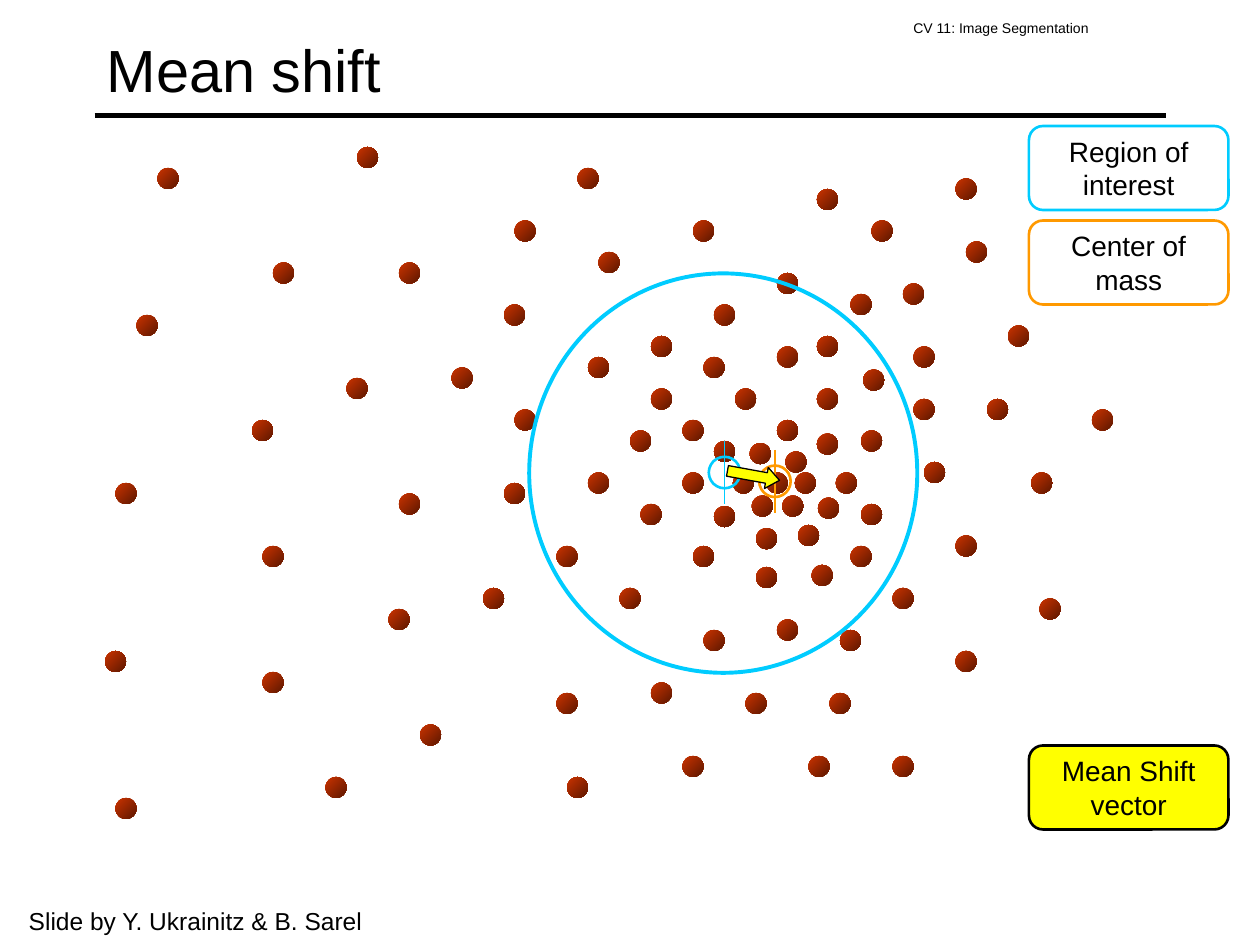
from lxml import etree
from pptx import Presentation
from pptx.dml.color import RGBColor
from pptx.enum.shapes import MSO_CONNECTOR, MSO_SHAPE
from pptx.enum.text import MSO_ANCHOR, PP_ALIGN
from pptx.oxml.ns import qn
from pptx.util import Inches, Pt

COLORS = {
    "text": "000000",
    "region": "00CCFF",
    "mass": "FF9900",
    "vector": "FFFF00",
    "dot_light": "CC3300",
    "dot_dark": "5E1800",
}
FONT = "Arial"
GRID = 1 / 12
DOT_CELLS = 2
TARGET_RADIUS = 0.125
CROSSHAIR_REACH = 0.25
REGION_CENTER = (5.75, 3.75)
MASS_CENTER = (6.15, 3.82)

DOT_COLUMNS_BY_ROW = {
    14: [34], 16: [15, 55], 17: [91], 18: [77.8],
    21: [49, 66, 83], 23: [92], 24: [57], 25: [26, 38],
    26: [74], 27: [86], 28: [81], 29: [48, 68],
    30: [13], 31: [96], 32: [62, 77.8], 33: [74, 87],
    34: [56, 67], 35: [43], 35.2: [82.2], 36: [33],
    37: [62, 70, 77.8], 38: [87, 94], 39: [49, 104], 40: [24, 65, 74],
    41: [60, 82], 41.3: [77.8], 42: [68], 42.2: [71.4],
    43: [74.8], 44: [88], 45: [56, 65, 69.8, 73, 75.7, 79.6, 98.2],
    46: [11, 48], 47: [38], 47.2: [71.6, 74.5], 47.4: [77.9],
    48: [61, 82], 48.2: [68], 50: [76], 50.3: [72],
    51: [91], 52: [25, 53, 66, 81], 53.8: [77.3], 54: [72],
    56: [46, 59, 85], 57: [99], 58: [37], 59: [74],
    60: [67, 80], 62: [10, 91], 64: [25], 65: [62],
    66: [53, 71, 79], 69: [40], 72: [65, 77, 85], 74: [31, 54],
    76: [11],
}

LABELS = [
    (12, "Region of\ninterest", "region", None),
    (21, "Center of\nmass", "mass", None),
    (71, "Mean Shift\nvector", "text", "vector"),
]


def rgb(name):
    return RGBColor.from_string(COLORS[name])


def cells(*counts):
    return tuple(n * GRID for n in counts)


def add_shape(shapes, kind, box, line=None, width=1.5, fill=None):
    sp = shapes.add_shape(kind, *map(Inches, box))
    sp.shadow.inherit = False
    if fill:
        sp.fill.solid()
        sp.fill.fore_color.rgb = rgb(fill)
    else:
        sp.fill.background()
    if line:
        sp.line.color.rgb = rgb(line)
        sp.line.width = Pt(width)
    else:
        sp.line.fill.background()
    return sp


def add_line(shapes, start, end, color, width):
    ln = shapes.add_connector(MSO_CONNECTOR.STRAIGHT, *map(Inches, start + end))
    ln.line.color.rgb = rgb(color)
    ln.line.width = Pt(width)
    etree.SubElement(ln._element.spPr, qn("a:effectLst"))


def set_text(sp, text, size, align=PP_ALIGN.LEFT, anchor=MSO_ANCHOR.TOP):
    tf = sp.text_frame
    tf.word_wrap = True
    tf.vertical_anchor = anchor
    tf.text = text
    for p in tf.paragraphs:
        p.alignment = align
        for r in p.runs:
            r.font.name = FONT
            r.font.size = Pt(size)
            r.font.color.rgb = rgb("text")
    return tf


def add_text(s, box, text, size, anchor=MSO_ANCHOR.TOP):
    tb = s.shapes.add_textbox(*map(Inches, box))
    return set_text(tb, text, size, anchor=anchor)


def add_title(s, box):
    left, top, width, height = box
    rule_y = top + height - GRID
    add_line(s.shapes, (left, rule_y), (left + width, rule_y), "text", 3)
    add_text(s, box, "Mean shift", 34, MSO_ANCHOR.MIDDLE)


def add_course_name(s, box):
    tf = add_text(s, box, "CV 11: Image Segmentation", 8)
    tf.margin_top = tf.margin_bottom = Inches(0.1)


def add_dot(s, box):
    sp = add_shape(s.shapes, MSO_SHAPE.OVAL, box)
    sp.fill.gradient()
    sp.fill.gradient_angle = 315
    for stop, name in zip(sp.fill.gradient_stops, ("dot_light", "dot_dark")):
        stop.color.rgb = rgb(name)


def add_dot_field(s):
    for row, columns in DOT_COLUMNS_BY_ROW.items():
        for column in columns:
            add_dot(s, cells(column, row, DOT_CELLS, DOT_CELLS))


def add_target(shapes, center, color):
    x, y = center
    size = 2 * TARGET_RADIUS
    box = (x - TARGET_RADIUS, y - TARGET_RADIUS, size, size)
    add_shape(shapes, MSO_SHAPE.OVAL, box, color)
    top, bottom = y - CROSSHAIR_REACH, y + CROSSHAIR_REACH
    add_line(shapes, (x, top), (x, bottom), color, 0.75)


def add_region(s, box):
    grp = s.shapes.add_group_shape()
    add_shape(grp.shapes, MSO_SHAPE.OVAL, box, "region", 2.25)
    add_target(grp.shapes, REGION_CENTER, "region")


def add_mass_center(s):
    add_target(s.shapes.add_group_shape().shapes, MASS_CENTER, "mass")


def add_shift_vector(s, box):
    sp = add_shape(s.shapes, MSO_SHAPE.RIGHT_ARROW, box, "text", 0.75, "vector")
    sp.adjustments[1] = 0.625
    sp.rotation = 10.3


def add_label(s, box, text, line, fill):
    sp = add_shape(s.shapes, MSO_SHAPE.ROUNDED_RECTANGLE, box, line, fill=fill)
    set_text(sp, text, 16, PP_ALIGN.CENTER, MSO_ANCHOR.MIDDLE)


def add_labels(s):
    for row, text, line, fill in LABELS:
        add_label(s, cells(98, row, 19, 8), text, line, fill)


def add_credit(s, box):
    tf = add_text(s, box, "Slide by Y. Ukrainitz & B. Sarel", 14)
    tf.word_wrap = False


def main():
    prs = Presentation()
    prs.slide_width, prs.slide_height = Inches(10), Inches(7.5)
    s = prs.slides.add_slide(prs.slide_layouts[6])
    add_title(s, cells(9, 1, 102, 11))
    add_course_name(s, (7.15, 0.09, 2.68, 0.33))
    add_dot_field(s)
    add_region(s, (4.2, 2.17, 3.08, 3.17))
    add_labels(s)
    add_mass_center(s)
    add_shift_vector(s, (5.77, 3.69, 0.42, 0.17))
    add_credit(s, (0.13, 7.14, 2.87, 0.33))
    prs.save("out.pptx")


if __name__ == "__main__":
    main()
